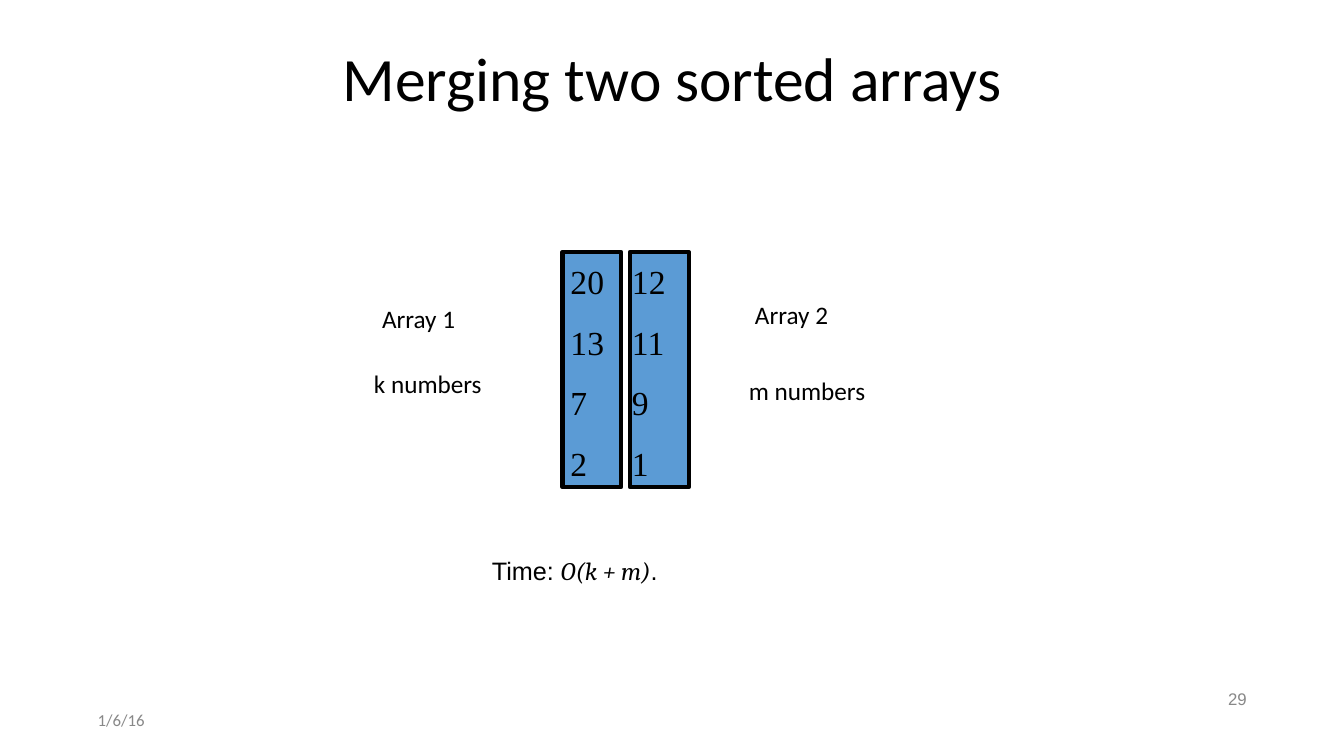
from dataclasses import dataclass

from pptx import Presentation
from pptx.dml.color import RGBColor
from pptx.enum.shapes import MSO_SHAPE
from pptx.enum.text import MSO_ANCHOR, MSO_AUTO_SIZE, PP_ALIGN
from pptx.slide import Slide
from pptx.text.text import TextFrame
from pptx.util import Pt

RECTANGLE = MSO_SHAPE.RECTANGLE
TOP, MIDDLE = MSO_ANCHOR.TOP, MSO_ANCHOR.MIDDLE
LEFT, CENTER, RIGHT = PP_ALIGN.LEFT, PP_ALIGN.CENTER, PP_ALIGN.RIGHT
FIT_SHAPE, FIXED = MSO_AUTO_SIZE.SHAPE_TO_FIT_TEXT, MSO_AUTO_SIZE.NONE

COLORS = {"text": "000000", "footer": "888888", "array": "5B9BD5"}
INSET = 3.6


@dataclass(frozen=True)
class Span:
    text: str
    font: str = "Calibri"
    size: float = 18
    color: str = "text"
    italic: bool = False


@dataclass(frozen=True)
class Block:
    left: float
    top: float
    width: float
    height: float
    lines: list[list[Span]]
    align: PP_ALIGN = LEFT
    anchor: MSO_ANCHOR = TOP
    spacing: float = 1.0
    wrap: bool = False
    fit: MSO_AUTO_SIZE = FIT_SHAPE


@dataclass(frozen=True)
class Array:
    bar_left: float
    text_left: float
    numbers: list[str]


TITLE = Block(66.24, 22.32, 828, 72, [[Span("Merging two sorted arrays", size=44)]],
              CENTER, MIDDLE, 0.9, True, FIXED)

ARRAYS = [
    Array(450, 447.84, ["12", "11", "9", "1"]),
    Array(401.76, 403.92, ["20", "13", "7", "2"]),
]

BLOCKS = [
    Block(66.24, 504, 216, 20.88, [[Span("1/6/16", size=12, color="footer")]],
          anchor=MIDDLE, wrap=True),
    Block(678.24, 489.6, 216, 20.88, [[Span("29", "Arial", 12, "footer")]],
          RIGHT, MIDDLE, 0.9, True, FIXED),
    Block(269.28, 213.12, 60.48, 29.52, [[Span("Array 1")]]),
    Block(535.68, 210.24, 60.48, 29.52, [[Span("Array 2")]]),
    Block(347.76, 393.12, 131.04, 30.96,
          [[Span("Time: ", "Arial"), Span("O(k + m)", "Cambria", italic=True),
            Span(".", "Arial")]]),
    Block(263.52, 259.2, 84.96, 29.52, [[Span("k numbers")]]),
    Block(531.36, 264.24, 91.44, 29.52, [[Span("m numbers")]]),
]


def color(name: str) -> RGBColor:
    return RGBColor.from_string(COLORS[name])


def fill_text(frame: TextFrame, block: Block) -> None:
    frame.margin_left = frame.margin_right = Pt(INSET)
    frame.margin_top = frame.margin_bottom = Pt(INSET)
    frame.vertical_anchor = block.anchor
    frame.word_wrap = block.wrap
    frame.auto_size = block.fit
    for index, line in enumerate(block.lines):
        para = frame.add_paragraph() if index else frame.paragraphs[0]
        para.alignment = block.align
        para.line_spacing = block.spacing
        for span in line:
            run = para.add_run()
            run.text = span.text
            run.font.name = span.font
            run.font.size = Pt(span.size)
            run.font.italic = span.italic
            run.font.color.rgb = color(span.color)


def add_block(page: Slide, block: Block) -> None:
    box = page.shapes.add_textbox(Pt(block.left), Pt(block.top),
                                  Pt(block.width), Pt(block.height))
    fill_text(box.text_frame, block)


def add_bar(page: Slide, array: Array) -> None:
    bar = page.shapes.add_shape(RECTANGLE, Pt(array.bar_left), Pt(180), Pt(42), Pt(168))
    bar.shadow.inherit = False
    bar.fill.solid()
    bar.fill.fore_color.rgb = color("array")
    bar.line.color.rgb = color("text")
    bar.line.width = Pt(3)


def add_numbers(page: Slide, array: Array) -> None:
    lines = [[Span(number, "Times New Roman", 24)] for number in array.numbers]
    add_block(page, Block(array.text_left, 168.48, 38.16, 153.36, lines, spacing=1.5))


def set_title(page: Slide, block: Block) -> None:
    title = page.shapes.title
    title.left, title.top = Pt(block.left), Pt(block.top)
    title.width, title.height = Pt(block.width), Pt(block.height)
    fill_text(title.text_frame, block)


def main() -> None:
    deck = Presentation()
    deck.slide_width, deck.slide_height = Pt(960), Pt(540)
    page = deck.slides.add_slide(deck.slide_layouts.get_by_name("Title Only"))
    set_title(page, TITLE)
    for array in ARRAYS:
        add_bar(page, array)
    for array in ARRAYS:
        add_numbers(page, array)
    for block in BLOCKS:
        add_block(page, block)
    deck.save("out.pptx")


if __name__ == "__main__":
    main()
